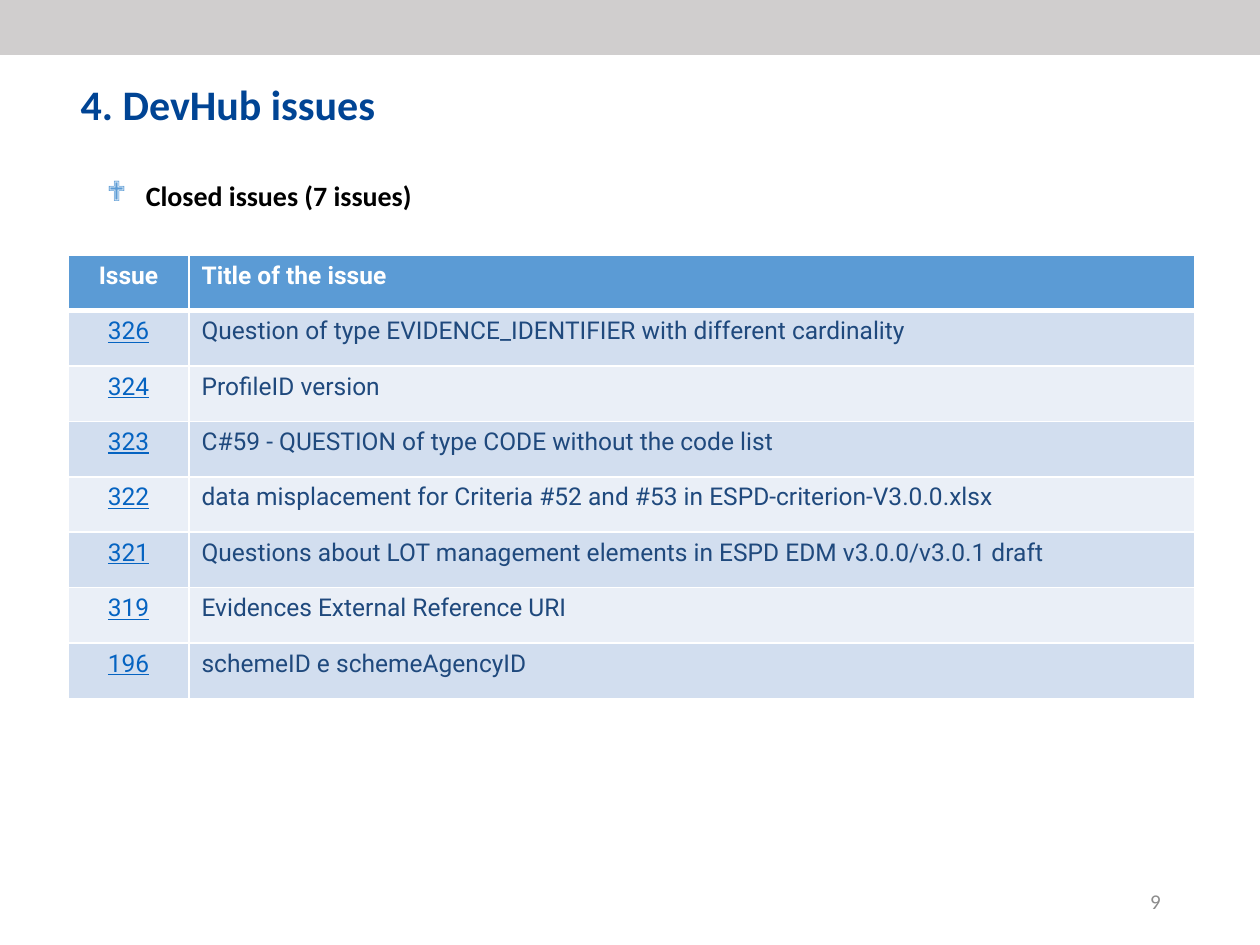
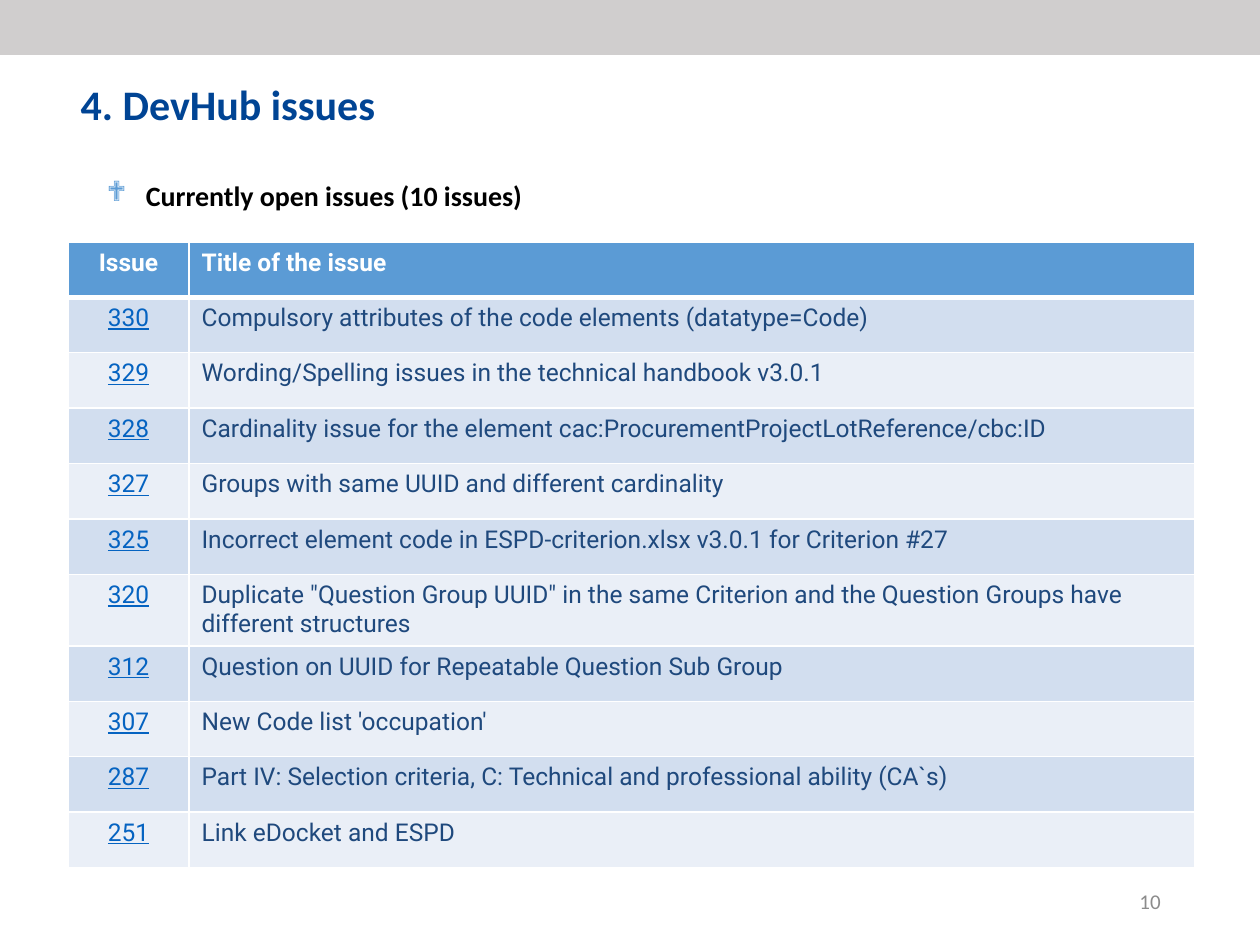
from dataclasses import dataclass

from lxml.etree import SubElement
from pptx import Presentation
from pptx.dml.color import RGBColor
from pptx.enum.shapes import MSO_SHAPE as Shape
from pptx.enum.text import MSO_ANCHOR as Anchor, MSO_AUTO_SIZE as AutoSize, PP_ALIGN as Align
from pptx.oxml.ns import qn
from pptx.util import Emu, Inches, Pt

# Slide size and shared look
WIDTH, HEIGHT = Inches(10), Inches(7.5)
WHITE = RGBColor(0xFF, 0xFF, 0xFF)
BLACK = RGBColor(0x00, 0x00, 0x00)
BAND_GREY = RGBColor(0xD0, 0xCE, 0xCE)
TITLE_BLUE = RGBColor(0x00, 0x44, 0x94)
PAGE_GREY = RGBColor(0x8C, 0x8C, 0x8C)
ACCENT_BLUE = RGBColor(0x5B, 0x9B, 0xD5)
LINK_BLUE = RGBColor(0x05, 0x63, 0xC1)
ISSUE_BLUE = RGBColor(0x1F, 0x49, 0x7D)
ROW_TINTS = (RGBColor(0xD2, 0xDE, 0xEF), RGBColor(0xEA, 0xEF, 0xF7))
HEADING_FONT, TABLE_FONT = "Calibri", "Roboto"

# Table grid
TABLE_LEFT = Inches(0.54)
COLUMN_WIDTHS = (Inches(0.96), Inches(7.98))
ROW_HEIGHT = Inches(0.44)
FIRST_PAGE = 9


@dataclass(frozen=True)
class Area:
    """A rectangle given as shares of the slide's width and height."""
    left: float
    top: float
    width: float
    height: float

    def box(self) -> tuple[Emu, Emu, Emu, Emu]:
        return (Emu(int(self.left * WIDTH)), Emu(int(self.top * HEIGHT)),
                Emu(int(self.width * WIDTH)), Emu(int(self.height * HEIGHT)))


@dataclass(frozen=True)
class Issue:
    number: str
    title: str


@dataclass(frozen=True)
class IssueList:
    heading: str
    table_top: float
    issues: tuple[Issue, ...]


BAND = Area(0, 0, 1, 0.058)
TITLE = Area(0.054, 0.076, 0.845, 0.067)
HEADING = Area(0.025, 0.143, 0.933, 0.085)
PAGE_NUMBER = Area(0.706, 0.927, 0.225, 0.053)

ISSUE_LISTS = (
    IssueList("Closed issues (7 issues)", 0.27, (
        Issue("326", "Question of type EVIDENCE_IDENTIFIER with different cardinality"),
        Issue("324", "ProfileID version"),
        Issue("323", "C#59 - QUESTION of type CODE without the code list"),
        Issue("322", "data misplacement for Criteria #52 and #53 in ESPD-criterion-V3.0.0.xlsx"),
        Issue("321", "Questions about LOT management elements in ESPD EDM v3.0.0/v3.0.1 draft"),
        Issue("319", "Evidences External Reference URI"),
        Issue("196", "schemeID e schemeAgencyID"),
    )),
    IssueList("Currently open issues (10 issues)", 0.256, (
        Issue("330", "Compulsory attributes of the code elements (datatype=Code)"),
        Issue("329", "Wording/Spelling issues in the technical handbook v3.0.1"),
        Issue("328", "Cardinality issue for the element cac:ProcurementProjectLotReference/cbc:ID"),
        Issue("327", "Groups with same UUID and different cardinality"),
        Issue("325", "Incorrect element code in ESPD-criterion.xlsx v3.0.1 for Criterion #27"),
        Issue("320", 'Duplicate "Question Group UUID" in the same Criterion and the Question '
                     "Groups have different structures"),
        Issue("312", "Question on UUID for Repeatable Question Sub Group"),
        Issue("307", "New Code list 'occupation'"),
        Issue("287", "Part IV: Selection criteria, C: Technical and professional ability (CA`s)"),
        Issue("251", "Link eDocket and ESPD"),
    )),
)


def write(frame, text: str, *, size: float, color: RGBColor, font: str = HEADING_FONT,
          bold: bool = False, underline: bool = False, align: Align = Align.LEFT,
          anchor: Anchor = Anchor.TOP, spacing: float = 0):
    """Put one formatted paragraph in a text frame and return the paragraph."""
    frame.word_wrap = True
    frame.vertical_anchor = anchor
    paragraph = frame.paragraphs[0]
    paragraph.alignment = align
    paragraph.space_before = paragraph.space_after = Pt(spacing)
    run = paragraph.add_run()
    run.text = text
    run.font.name, run.font.size = font, Pt(size)
    run.font.bold, run.font.underline = bold, underline
    run.font.color.rgb = color
    return paragraph


def add_bullet(paragraph, char: str, color: RGBColor) -> None:
    props = paragraph._p.get_or_add_pPr()
    props.set("marL", str(Inches(0.81)))
    props.set("indent", str(-Inches(0.31)))
    bullet_color = SubElement(props, qn("a:buClr"))
    SubElement(bullet_color, qn("a:srgbClr"), val=str(color))
    SubElement(props, qn("a:buFont"), typeface="Wingdings")
    SubElement(props, qn("a:buChar"), char=char)


def add_borders(cell, bottom: float) -> None:
    """White cell borders; they must precede the fill in the cell properties."""
    props = cell._tc.get_or_add_tcPr()
    for side, points in (("L", 1), ("R", 1), ("T", 1), ("B", bottom)):
        line = SubElement(props, qn(f"a:ln{side}"), w=str(Pt(points)))
        fill = SubElement(line, qn("a:solidFill"))
        SubElement(fill, qn("a:srgbClr"), val=str(WHITE))


def fill_cell(cell, text: str, tint: RGBColor, bottom: float = 1, **text_format) -> None:
    add_borders(cell, bottom)
    cell.fill.solid()
    cell.fill.fore_color.rgb = tint
    write(cell.text_frame, text, size=14, font=TABLE_FONT, spacing=6, **text_format)


def add_frame(slide, page: int) -> None:
    """Top band, title and page number shared by all slides."""
    band = slide.shapes.add_shape(Shape.RECTANGLE, *BAND.box())
    band.shadow.inherit = False
    band.fill.solid()
    band.fill.fore_color.rgb = BAND_GREY
    band.line.fill.background()

    title = slide.shapes.title
    title.left, title.top, title.width, title.height = TITLE.box()
    title.text_frame.auto_size = AutoSize.NONE
    write(title.text_frame, "4. DevHub issues", size=24, color=TITLE_BLUE, bold=True)

    number = slide.shapes.add_textbox(*PAGE_NUMBER.box())
    write(number.text_frame, str(page), size=12, color=PAGE_GREY,
          align=Align.RIGHT, anchor=Anchor.MIDDLE)


def add_heading(slide, text: str) -> None:
    heading = slide.shapes.add_textbox(*HEADING.box()).text_frame
    heading.margin_bottom = Inches(0.03)
    paragraph = write(heading, text, size=16, color=BLACK, bold=True, anchor=Anchor.BOTTOM)
    add_bullet(paragraph, "❖", ACCENT_BLUE)


def add_issue_table(slide, issue_list: IssueList) -> None:
    row_count = len(issue_list.issues) + 1
    table = slide.shapes.add_table(
        row_count, len(COLUMN_WIDTHS), TABLE_LEFT, Emu(int(issue_list.table_top * HEIGHT)),
        Emu(sum(COLUMN_WIDTHS)), Emu(ROW_HEIGHT * row_count)).table
    table.horz_banding = False
    for column, width in zip(table.columns, COLUMN_WIDTHS):
        column.width = width
    for row in table.rows:
        row.height = ROW_HEIGHT

    # Header row
    for column, (label, align) in enumerate((("Issue", Align.CENTER),
                                             ("Title of the issue", Align.LEFT))):
        fill_cell(table.cell(0, column), label, ACCENT_BLUE, bottom=3,
                  color=WHITE, bold=True, align=align)

    # Issue rows in alternating tints
    for index, issue in enumerate(issue_list.issues):
        tint = ROW_TINTS[index % 2]
        number_cell, title_cell = table.rows[index + 1].cells
        fill_cell(number_cell, issue.number, tint, color=LINK_BLUE,
                  underline=True, align=Align.CENTER)
        fill_cell(title_cell, issue.title, tint, color=ISSUE_BLUE)


def main() -> None:
    deck = Presentation()
    deck.slide_width, deck.slide_height = WIDTH, HEIGHT
    title_only = deck.slide_layouts.get_by_name("Title Only")
    for page, issue_list in enumerate(ISSUE_LISTS, start=FIRST_PAGE):
        slide = deck.slides.add_slide(title_only)
        add_frame(slide, page)
        add_heading(slide, issue_list.heading)
        add_issue_table(slide, issue_list)
    deck.save("out.pptx")


if __name__ == "__main__":
    main()
